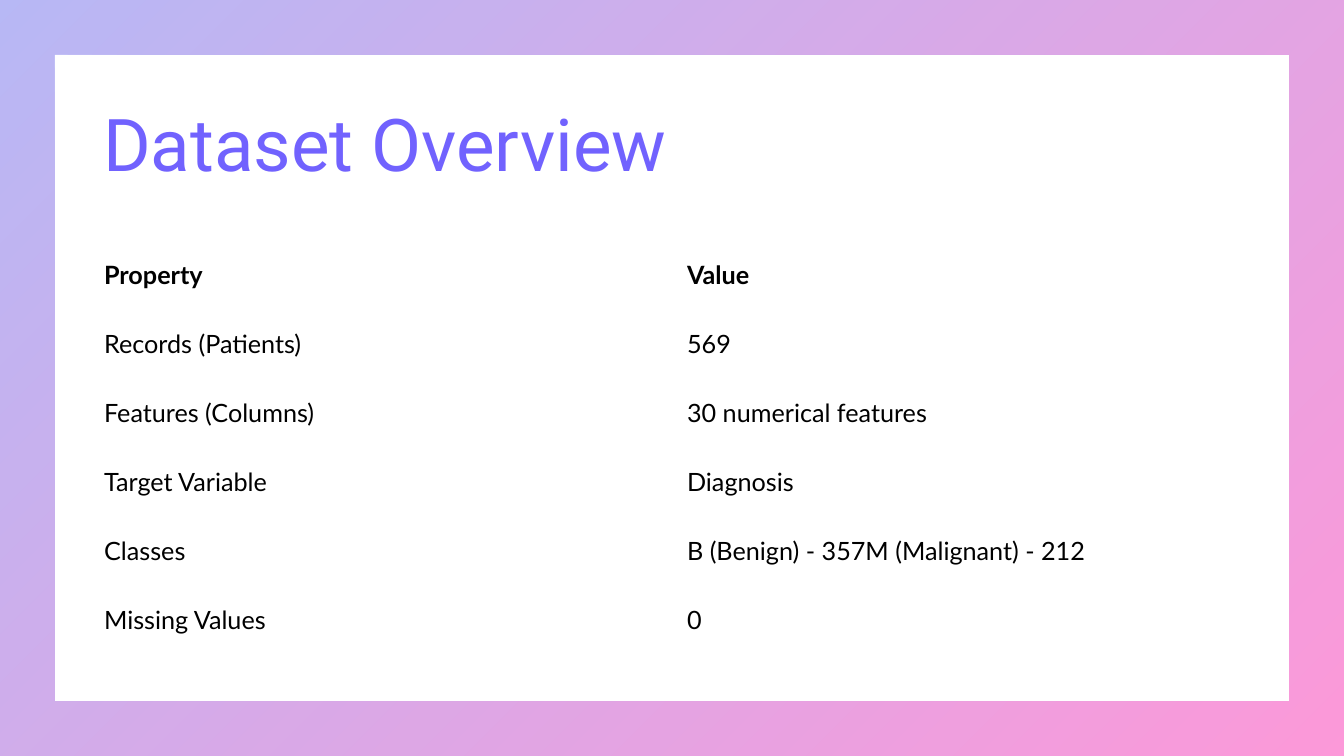
from lxml.etree import SubElement
from pptx import Presentation
from pptx.dml.color import RGBColor
from pptx.enum.shapes import MSO_SHAPE
from pptx.enum.text import MSO_ANCHOR, MSO_AUTO_SIZE, PP_ALIGN
from pptx.oxml.ns import qn
from pptx.util import Emu, Pt

SLIDE_WIDTH, SLIDE_HEIGHT = 1344, 756
EMU_PER_PX = 914400 / 100.8

INDIGO = RGBColor(0x4D, 0x4E, 0xE6)
MAGENTA = RGBColor(0xF9, 0x00, 0xA0)
VIOLET = RGBColor(0x71, 0x62, 0xFE)
BLACK = RGBColor(0x00, 0x00, 0x00)

PROPERTIES = [
    ("Property", "Value"),
    ("Records (Patients)", "569"),
    ("Features (Columns)", "30 numerical features"),
    ("Target Variable", "Diagnosis"),
    ("Classes", "B (Benign) - 357M (Malignant) - 212"),
    ("Missing Values", "0"),
]


def px(length):
    return Emu(round(length * EMU_PER_PX))


def write_text(text_frame, text, font, size, color, bold=False, line_spacing=None):
    text_frame.word_wrap = True
    para = text_frame.paragraphs[0]
    para.alignment = PP_ALIGN.LEFT
    para.line_spacing = line_spacing
    span = para.add_run()
    span.text = text
    span.font.name = font
    span.font.size = Pt(size)
    span.font.bold = bold
    span.font.color.rgb = color


def add_gradient_frame(page, box):
    frame = page.shapes.add_shape(MSO_SHAPE.FRAME, *map(px, box))
    frame.adjustments[0] = 0.072
    frame.shadow.inherit = False
    frame.line.fill.background()
    frame.fill.gradient()
    frame.fill.gradient_angle = 315
    for stop, color in zip(frame.fill.gradient_stops, (INDIGO, MAGENTA)):
        stop.color.rgb = color
    for color_element in frame.element.spPr.iter(qn("a:srgbClr")):
        SubElement(color_element, qn("a:alpha")).set("val", "40000")


def place_title(page, box, text):
    title = page.shapes.title
    title.left, title.top, title.width, title.height = map(px, box)
    title.text_frame.auto_size = MSO_AUTO_SIZE.NONE
    title.text_frame.vertical_anchor = MSO_ANCHOR.MIDDLE
    write_text(title.text_frame, text, font="Roboto", size=52, color=VIOLET,
               line_spacing=0.9)


def add_property_table(page, box, rows, first_column_width):
    left, top, width, height = box
    table = page.shapes.add_table(len(rows), 2, *map(px, box)).table
    table.first_row = table.horz_banding = False
    table.columns[0].width = px(first_column_width)
    table.columns[1].width = px(width - first_column_width)
    for row_index, row in enumerate(rows):
        table.rows[row_index].height = px(height / len(rows))
        for column_index, text in enumerate(row):
            cell = table.cell(row_index, column_index)
            cell.fill.background()
            cell.vertical_anchor = MSO_ANCHOR.MIDDLE
            write_text(cell.text_frame, text, font="Lato", size=18, color=BLACK,
                       bold=row_index == 0)


def build_dataset_slide(deck):
    page = deck.slides.add_slide(deck.slide_layouts[5])
    add_gradient_frame(page, (0, 0, SLIDE_WIDTH, SLIDE_HEIGHT))
    place_title(page, (93, 75, 1159, 146), "Dataset Overview")
    add_property_table(page, (94, 240, 1157, 414), PROPERTIES, first_column_width=583)


def main():
    deck = Presentation()
    deck.slide_width, deck.slide_height = px(SLIDE_WIDTH), px(SLIDE_HEIGHT)
    build_dataset_slide(deck)
    deck.save("out.pptx")


if __name__ == "__main__":
    main()
